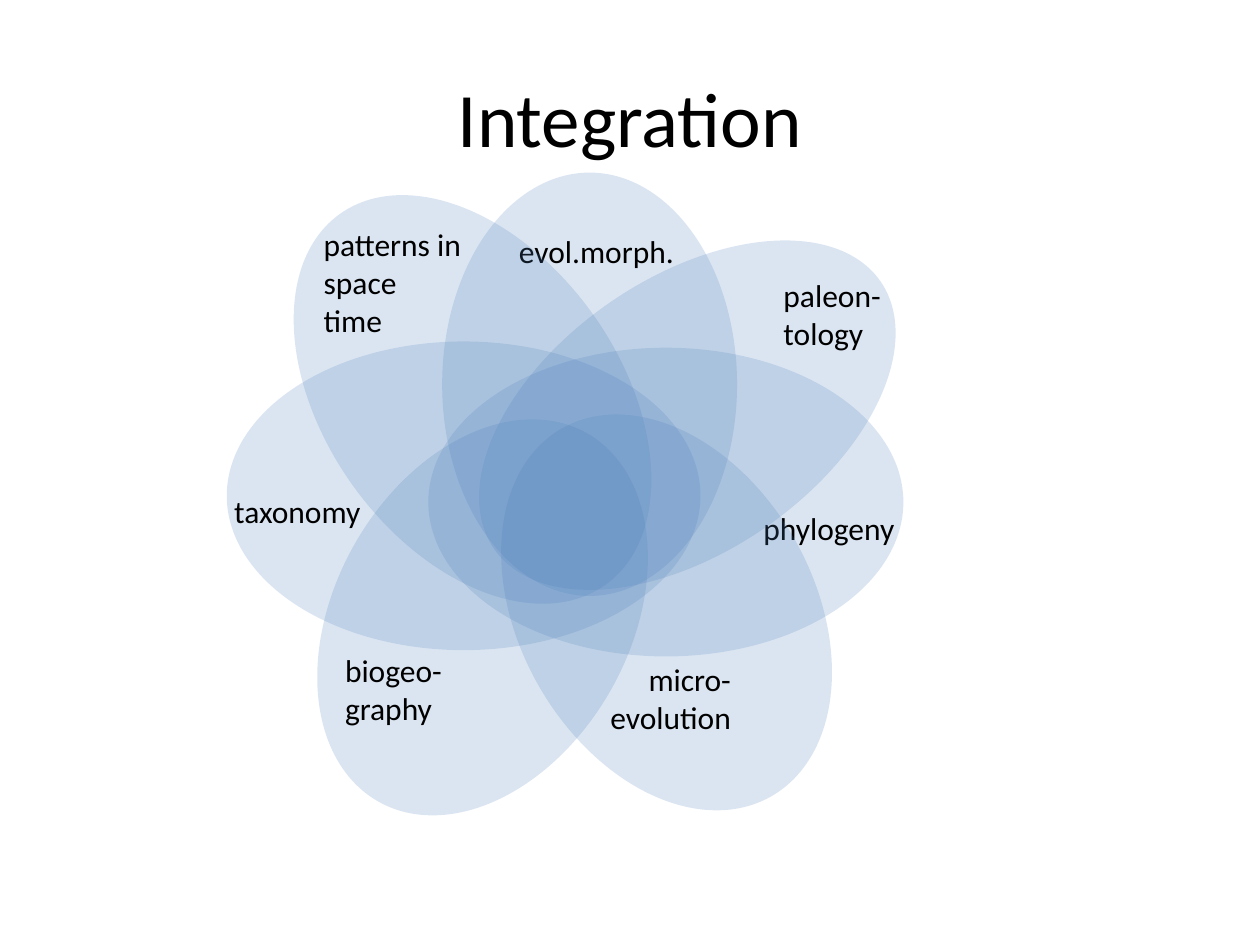
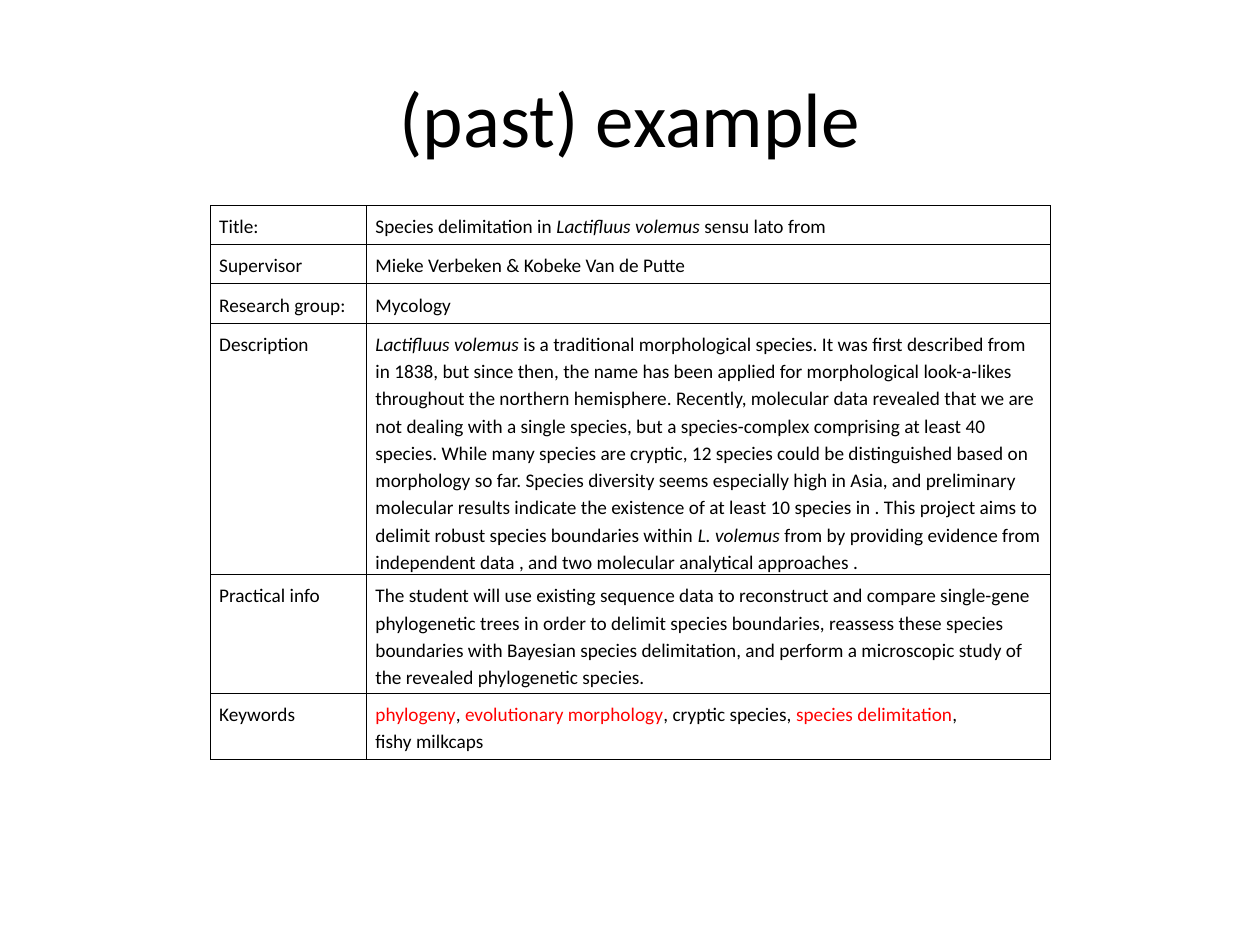
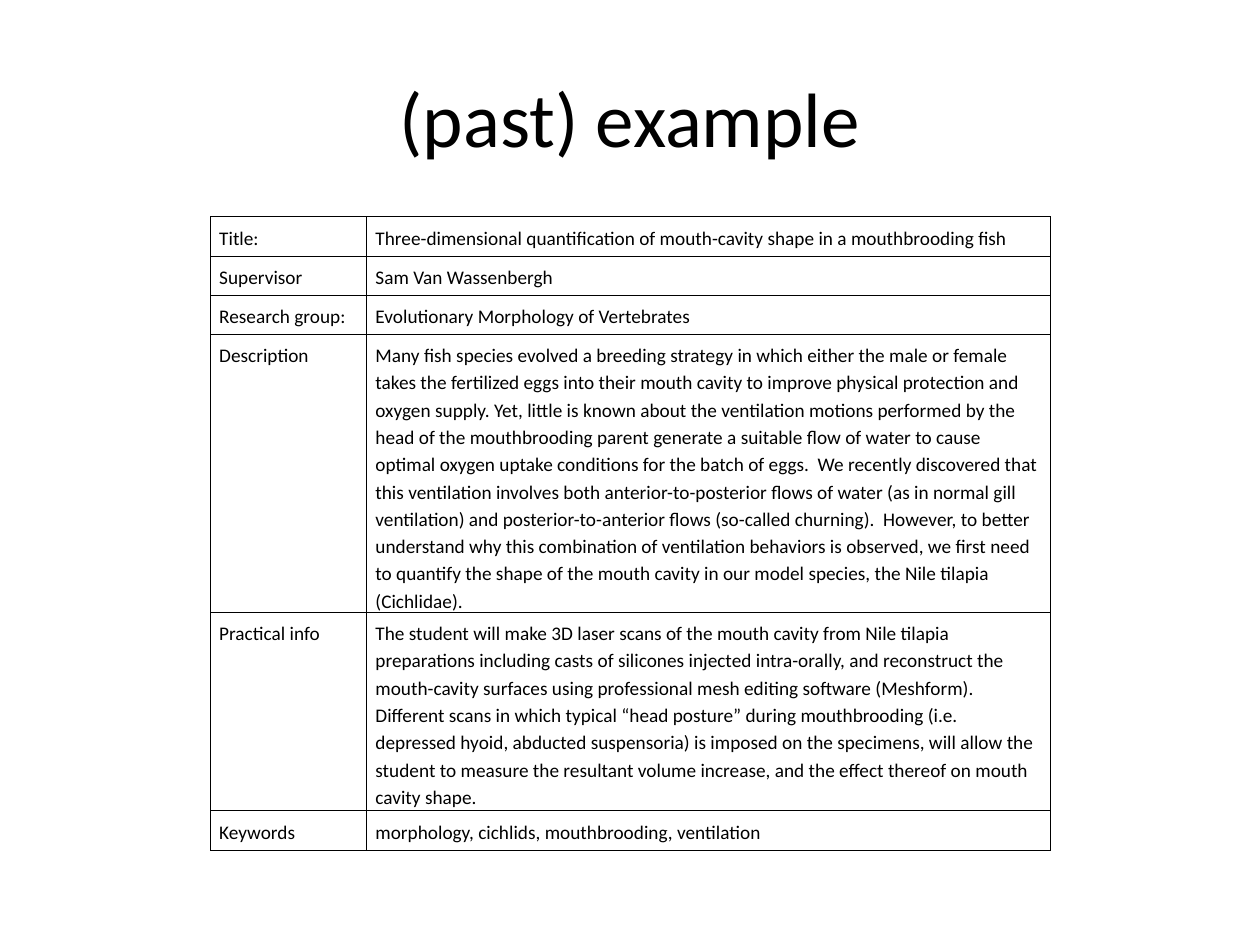
from lxml.etree import SubElement
from pptx import Presentation
from pptx.dml.color import RGBColor
from pptx.enum.shapes import MSO_SHAPE
from pptx.enum.text import MSO_ANCHOR, MSO_AUTO_SIZE, PP_ALIGN
from pptx.oxml.ns import qn
from pptx.util import Inches, Pt

COLORS = {"text": "000000", "petal": "4F81BD", "keyword": "FF0000", "border": "000000"}
FONT = "Calibri"
PETAL_OPACITY = 20
BORDER_WIDTH = Pt(0.45)
TITLES = ["Integration", "(past) example", "(past) example"]

deck = Presentation()
deck.slide_width, deck.slide_height = Inches(10), Inches(7.5)


def add_span(para, text, size, color="text", italic=False):
    """Add one run of text to a paragraph."""
    span = para.add_run()
    span.text = text
    span.font.name = FONT
    span.font.size = Pt(size)
    span.font.italic = italic
    span.font.color.rgb = RGBColor.from_string(COLORS[color])


def add_label(page, place, lines, size, align, wrap=False):
    """Add a text box with one paragraph for each line."""
    box = page.shapes.add_textbox(*map(Inches, place))
    frame = box.text_frame
    frame.word_wrap = wrap
    frame.auto_size = MSO_AUTO_SIZE.NONE if wrap else MSO_AUTO_SIZE.SHAPE_TO_FIT_TEXT
    frame.vertical_anchor = MSO_ANCHOR.MIDDLE if wrap else MSO_ANCHOR.TOP
    for number, line in enumerate(lines):
        para = frame.add_paragraph() if number else frame.paragraphs[0]
        para.alignment = align
        add_span(para, line, size)


# Every slide: a blank page with a centred title
pages = []
for title in TITLES:
    page = deck.slides.add_slide(deck.slide_layouts[6])
    add_label(page, (0.5, 0.3, 9, 1.25), [title], 44, PP_ALIGN.CENTER, wrap=True)
    pages.append(page)

# Slide 1: overlapping petals, each followed by its label
# (petal place, rotation, label place, label lines, alignment)
LEFT, RIGHT = PP_ALIGN.LEFT, PP_ALIGN.RIGHT
petals = [
    ((1.8, 2.71, 3.76, 2.45), 0, (1.76, 3.86, 1.22, 0.4), ["taxonomy"], LEFT),
    ((3.4, 2.76, 3.77, 2.45), 0, (5.96, 3.99, 1.25, 0.4), ["phylogeny"], LEFT),
    ((2.66, 3.22, 2.34, 3.36), 29.5, (2.64, 5.12, 0.97, 0.7), ["biogeo-", "graphy"], LEFT),
    ((4.12, 3.18, 2.34, 3.36), 150.4, (4.74, 5.19, 1.16, 0.7), ["micro-", "evolution"], RIGHT),
    ((3.51, 1.37, 2.34, 3.36), 0, (4.02, 1.79, 1.43, 0.4), ["evol.morph."], LEFT),
    ((2.58, 1.36, 2.34, 3.62), 144.4, (2.47, 1.74, 1.35, 1),
     ["patterns in", "space", "time"], LEFT),
    ((3.59, 2.21, 3.73, 2.17), 145.3, (6.12, 2.14, 0.97, 0.7), ["paleon-", "tology"], LEFT),
]
for place, rotation, label_place, lines, align in petals:
    petal = pages[0].shapes.add_shape(MSO_SHAPE.OVAL, *map(Inches, place))
    petal.rotation = rotation
    petal.shadow.inherit = False
    petal.line.fill.background()
    petal.fill.solid()
    petal.fill.fore_color.rgb = RGBColor.from_string(COLORS["petal"])
    color_node = petal.fill._xPr.find(qn("a:solidFill"))[0]
    SubElement(color_node, qn("a:alpha"), val=str(PETAL_OPACITY * 1000))
    add_label(pages[0], label_place, lines, 18, align)

# Slides 2 and 3: project tables; a span is (text, colour, italic), "\n" breaks the line
ROW_NAMES = ["Title:", "Supervisor", "Research group:", "Description",
             "Practical info", "Keywords"]
COLUMN_WIDTHS = [1.24, 5.43]

fungus_project = [
    [("Species delimitation in ",), ("Lactifluus volemus", "text", True),
     (" sensu lato from",)],
    [("Mieke Verbeken & Kobeke Van de Putte",)],
    [("Mycology",)],
    [("Lactifluus volemus", "text", True),
     (" is a traditional morphological species. It was first described from in 1838, "
      "but since then, the name has been applied for morphological look-a-likes "
      "throughout the northern hemisphere. Recently, molecular data revealed that we "
      "are not dealing with a single species, but a species-complex comprising at "
      "least 40 species. While many species are cryptic, 12 species could be "
      "distinguished based on morphology so far. Species diversity seems especially "
      "high in Asia, and preliminary molecular results indicate the existence of at "
      "least 10 species in . This project aims to delimit robust species boundaries "
      "within ",),
     ("L. volemus", "text", True),
     (" from by providing evidence from independent data , and two molecular "
      "analytical approaches .",)],
    [("The student will use existing sequence data to reconstruct and compare "
      "single-gene phylogenetic trees in order to delimit species boundaries, reassess "
      "these species boundaries with Bayesian species delimitation, and perform a "
      "microscopic study of the revealed phylogenetic species.",)],
    [("phylogeny", "keyword"), (", ",), ("evolutionary morphology", "keyword"),
     (", cryptic species, ",), ("species delimitation", "keyword"), (", ",),
     ("\n",), ("fishy milkcaps",)],
]
fish_project = [
    [("Three-dimensional quantification of mouth-cavity shape in a mouthbrooding fish",)],
    [("Sam Van Wassenbergh",)],
    [("Evolutionary Morphology of Vertebrates",)],
    [("Many fish species evolved a breeding strategy in which either the male or female "
      "takes the fertilized eggs into their mouth cavity to improve physical protection "
      "and oxygen supply. Yet, little is known about the ventilation motions performed "
      "by the head of the mouthbrooding parent generate a suitable flow of water to "
      "cause optimal oxygen uptake conditions for the batch of eggs.  We recently "
      "discovered that this ventilation involves both anterior-to-posterior flows of "
      "water (as in normal gill ventilation) and posterior-to-anterior flows (so-called "
      "churning).  However, to better understand why this combination of ventilation "
      "behaviors is observed, we first need to quantify the shape of the mouth cavity "
      "in our model species, the Nile tilapia (Cichlidae).",)],
    [("The student will make 3D laser scans of the mouth cavity from Nile tilapia "
      "preparations including casts of silicones injected intra-orally, and reconstruct "
      "the mouth-cavity surfaces using professional mesh editing software (Meshform).  "
      "Different scans in which typical “head posture” during mouthbrooding (i.e. "
      "depressed hyoid, abducted suspensoria) is imposed on the specimens, will allow "
      "the student to measure the resultant volume increase, and the effect thereof on "
      "mouth cavity shape.",)],
    [("morphology, cichlids, mouthbrooding, ventilation",)],
]
projects = [
    (pages[1], 1.63, [0.21, 0.21, 0.21, 1.9, 0.84, 0.42], fungus_project),
    (pages[2], 1.72, [0.21, 0.21, 0.21, 2.11, 1.47, 0.21], fish_project),
]
for page, top, heights, contents in projects:
    table = page.shapes.add_table(
        len(ROW_NAMES), len(COLUMN_WIDTHS), Inches(1.67), Inches(top),
        Inches(sum(COLUMN_WIDTHS)), Inches(sum(heights))).table
    table.first_row = table.horz_banding = False
    for column, width in zip(table.columns, COLUMN_WIDTHS):
        column.width = Inches(width)
    for row, height, name, content in zip(table.rows, heights, ROW_NAMES, contents):
        row.height = Inches(height)
        for cell, spans in zip(row.cells, ([(name,)], content)):
            cell.margin_left = cell.margin_right = Inches(0.07)
            cell.margin_top = cell.margin_bottom = Inches(0.05)
            properties = cell._tc.get_or_add_tcPr()
            for side in ("a:lnL", "a:lnR", "a:lnT", "a:lnB"):
                border = SubElement(properties, qn(side), w=str(BORDER_WIDTH))
                paint = SubElement(border, qn("a:solidFill"))
                SubElement(paint, qn("a:srgbClr"), val=COLORS["border"])
            cell.fill.background()
            para = cell.text_frame.paragraphs[0]
            para.line_spacing = 1.15
            for text, *style in spans:
                if text == "\n":
                    para.add_line_break()
                else:
                    add_span(para, text, 11, *style)

deck.save("out.pptx")
